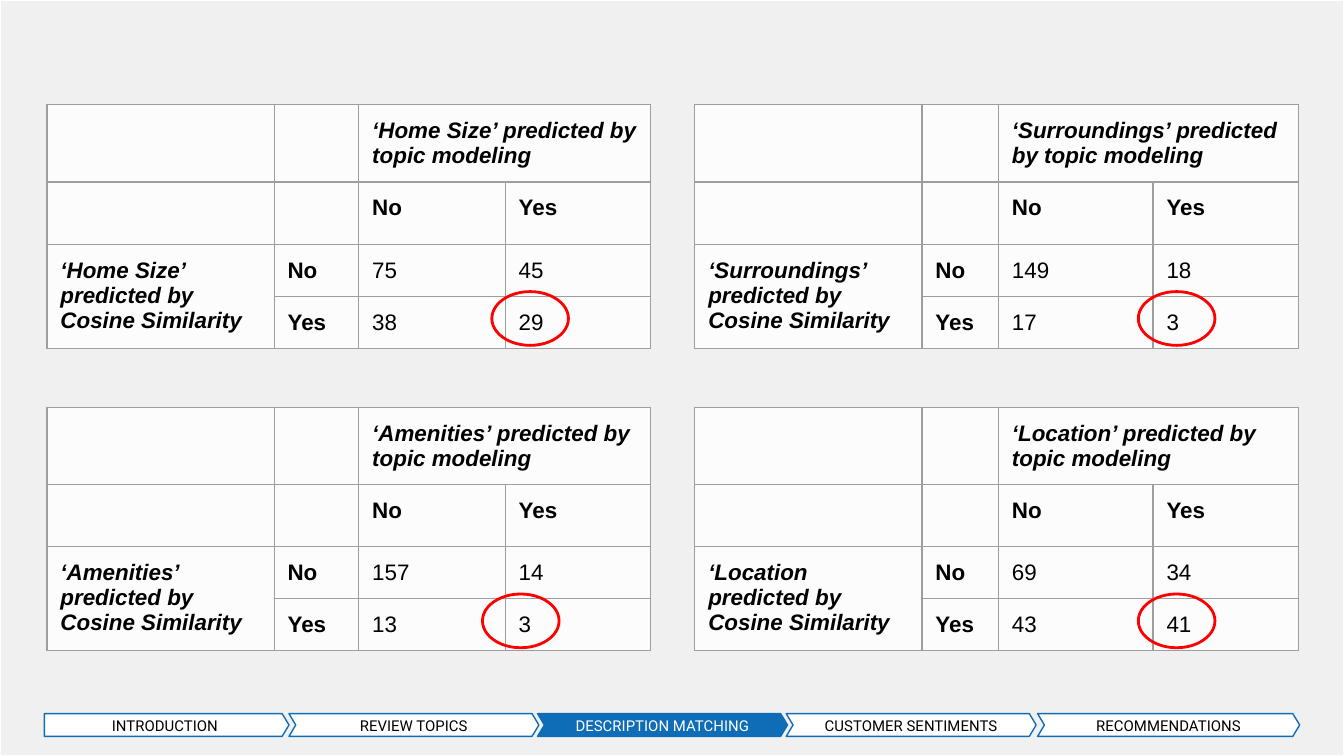
"""Builds a slide of four confusion matrices above a chevron progress bar."""
from lxml import etree
from pptx import Presentation
from pptx.dml.color import RGBColor
from pptx.enum import shapes, text
from pptx.oxml.ns import qn
from pptx.util import Inches, Pt

WHITE = RGBColor(0xFF, 0xFF, 0xFF)
BLACK = RGBColor(0, 0, 0)
GREY = RGBColor(0xEE, 0xEE, 0xEE)
BLUE = RGBColor(0x0F, 0x6D, 0xB7)
RED = RGBColor(0xFF, 0, 0)
BORDER = RGBColor(0x9E, 0x9E, 0x9E)
INSETS = dict.fromkeys(("margin_left", "margin_right", "margin_top", "margin_bottom"), Inches(0.1))


def add_outline(kind, box, fill, line, width):
    sp = s.shapes.add_shape(kind, *[Inches(v) for v in box])
    sp.shadow.inherit = False
    if fill is None:
        sp.fill.background()
    else:
        sp.fill.solid()
        sp.fill.fore_color.rgb = fill
    sp.line.color.rgb = line
    sp.line.width = Pt(width)
    return sp


def set_alpha(props, percent):
    color = props.find(qn("a:solidFill"))[0]
    etree.SubElement(color, qn("a:alpha"), val=str(percent * 1000))


prs = Presentation()
prs.slide_width, prs.slide_height = Inches(10), Inches(10 * 9 / 16)
s = prs.slides.add_slide(prs.slide_layouts[6])

backdrop = add_outline(shapes.MSO_SHAPE.RECTANGLE, (0, 0, 10, 10 * 9 / 16), GREY, WHITE, 0.75)
set_alpha(backdrop._element.spPr, 85)

steps = [
    ("INTRODUCTION", 0.33, 1.82),
    ("REVIEW TOPICS", 2.15, 1.86),
    ("DESCRIPTION MATCHING", 4, 1.86),
    ("CUSTOMER SENTIMENTS", 5.85, 1.86),
    ("RECOMMENDATIONS", 7.72, 1.95),
]
for i, (label, left, width) in enumerate(steps):
    kind = shapes.MSO_SHAPE.CHEVRON if i else shapes.MSO_SHAPE.PENTAGON
    current = label == "DESCRIPTION MATCHING"
    sp = add_outline(kind, (left, 5.31, width, 0.17), BLUE if current else WHITE, BLUE, 0.75)
    sp.adjustments[0] = 0.3
    tf = sp.text_frame
    for name, value in {**INSETS, "word_wrap": True, "vertical_anchor": text.MSO_ANCHOR.MIDDLE}.items():
        setattr(tf, name, value)
    p = tf.paragraphs[0]
    p.alignment = text.PP_ALIGN.CENTER
    r = p.add_run()
    r.text = label
    r.font.name, r.font.size = "Roboto", Pt(8)
    r.font.color.rgb = WHITE if current else BLACK

LEFT_COLS = [1.69, 0.63, 1.09, 1.08]
RIGHT_COLS = [1.69, 0.57, 1.15, 1.08]
ROWS = [0.55, 0.4, 0.37, 0.37]
matrices = [
    ("‘Home Size’", "‘Home Size’", 0.35, 0.78, LEFT_COLS, (75, 45, 38, 29)),
    ("‘Location’", "‘Location", 5.17, 3.03, RIGHT_COLS, (69, 34, 43, 41)),
    ("‘Amenities’", "‘Amenities’", 0.35, 3.03, LEFT_COLS, (157, 14, 13, 3)),
    ("‘Surroundings’", "‘Surroundings’", 5.17, 0.78, RIGHT_COLS, (149, 18, 17, 3)),
]
for column_topic, row_topic, left, top, cols, (nn, ny, yn, yy) in matrices:
    frame = s.shapes.add_table(4, 4, Inches(left), Inches(top), Inches(sum(cols)), Inches(sum(ROWS)))
    table = frame.table
    table.first_row = table.horz_banding = False
    for column, width in zip(table.columns, cols):
        column.width = Inches(width)
    for row, height in zip(table.rows, ROWS):
        row.height = Inches(height)
    table.cell(0, 2).merge(table.cell(0, 3))
    table.cell(2, 0).merge(table.cell(3, 0))
    values = [
        ["", "", f"{column_topic} predicted by topic modeling", ""],
        ["", "", "No", "Yes"],
        [f"{row_topic} predicted by Cosine Similarity", "No", nn, ny],
        ["", "Yes", yn, yy],
    ]
    for i, row in enumerate(values):
        for j, value in enumerate(row):
            cell = table.cell(i, j)
            for name, inset in INSETS.items():
                setattr(cell, name, inset)
            cell.fill.solid()
            cell.fill.fore_color.rgb = WHITE
            props = cell._tc.get_or_add_tcPr()
            set_alpha(props, 82)
            for k, side in enumerate(("a:lnL", "a:lnR", "a:lnT", "a:lnB")):
                ln = etree.Element(qn(side), w=str(Pt(0.75)))
                fill = etree.SubElement(ln, qn("a:solidFill"))
                etree.SubElement(fill, qn("a:srgbClr"), val=str(BORDER))
                props.insert(k, ln)
            p = cell.text_frame.paragraphs[0]
            if value == "":
                end = etree.SubElement(p._p, qn("a:endParaRPr"), sz="1700")
                etree.SubElement(end, qn("a:latin"), typeface="Arial")
                continue
            r = p.add_run()
            r.text = str(value)
            formats = {
                "name": "Arial",
                "size": Pt(12),
                "bold": isinstance(value, str),
                "italic": "predicted" in r.text,
            }
            for name, setting in formats.items():
                setattr(r.font, name, setting)
            r.font.color.rgb = BLACK

for left, top in [(3.66, 2.17), (8.47, 2.17), (3.59, 4.42), (8.47, 4.42)]:
    add_outline(shapes.MSO_SHAPE.OVAL, (left, top, 0.57, 0.4), None, RED, 1.5)

prs.save("out.pptx")
